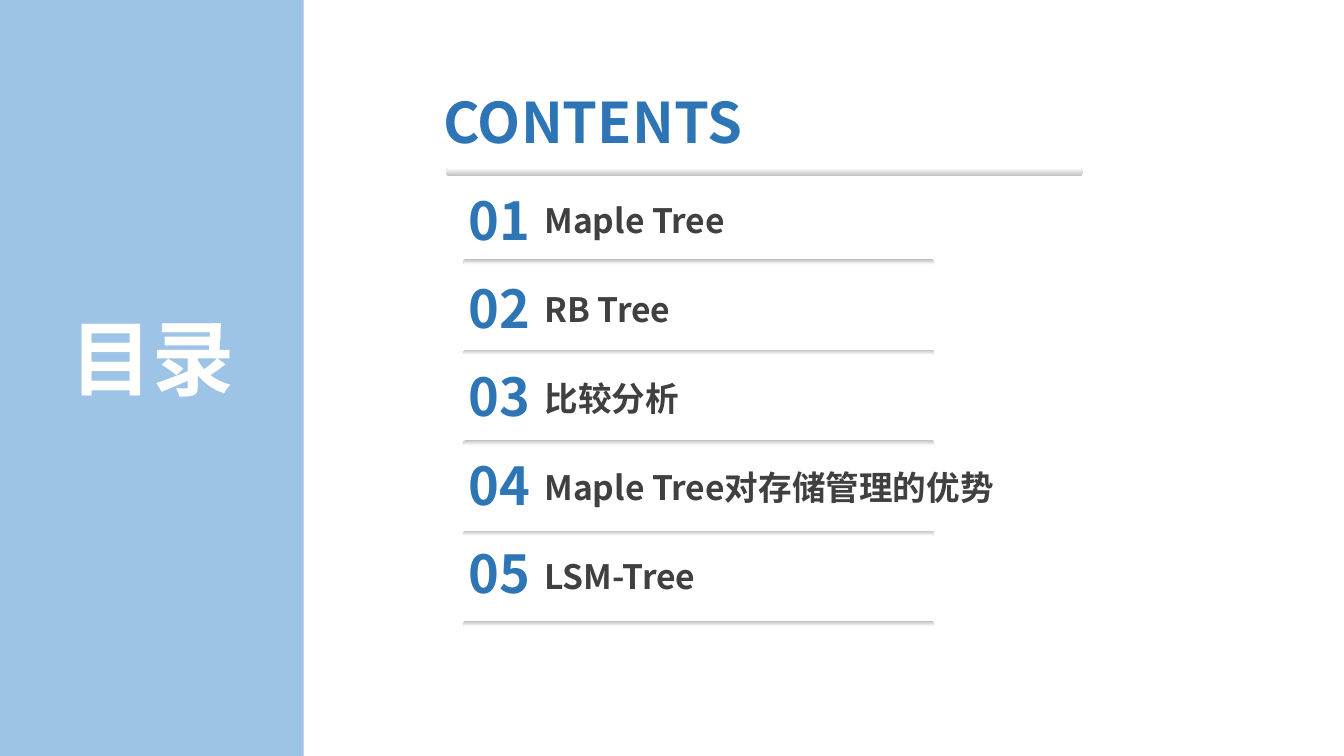
from dataclasses import dataclass

from lxml import etree
from pptx import Presentation
from pptx.dml.color import RGBColor
from pptx.enum import shapes, text
from pptx.oxml import ns
from pptx.util import Cm, Pt

FONT = "Noto Sans CJK SC"
PALE_BLUE = RGBColor(0x9D, 0xC3, 0xE6)
BLUE = RGBColor(0x2E, 0x75, 0xB6)
DARK = RGBColor(0x40, 0x40, 0x40)
SILVER = RGBColor(0xBF, 0xBF, 0xBF)
WHITE = RGBColor(0xFF, 0xFF, 0xFF)


@dataclass(frozen=True)
class Box:
    """A place on the slide, in centimetres."""
    left: float
    top: float
    width: float
    height: float

    def lengths(self) -> tuple:
        return Cm(self.left), Cm(self.top), Cm(self.width), Cm(self.height)


@dataclass(frozen=True)
class Column:
    """Equal boxes stacked at a fixed pitch, in centimetres."""
    left: float
    top: float
    height: float
    pitch: float

    def row(self, index: int, width: float) -> Box:
        return Box(self.left, self.top + index * self.pitch, width, self.height)


@dataclass(frozen=True)
class Topic:
    name: str
    width: float = 5.79


@dataclass(frozen=True)
class Style:
    size: int
    color: RGBColor
    align: text.PP_ALIGN = text.PP_ALIGN.LEFT


NUMBERS = Column(8.43, 3.45, 1.63, 1.67)
NAMES = Column(10.11, 3.68, 1.12, 1.68)
RULES = Column(8.76, 4.9, 0.1, 1.71)

SIDE_STYLE = Style(44, WHITE, text.PP_ALIGN.CENTER)
HEADING_STYLE = Style(30, BLUE)
NUMBER_STYLE = Style(28, BLUE, text.PP_ALIGN.CENTER)
NAME_STYLE = Style(18, DARK)

TOPICS = [
    Topic("Maple Tree"),
    Topic("RB Tree"),
    Topic("比较分析"),
    Topic("Maple Tree对存储管理的优势", 9.98),
    Topic("LSM-Tree"),
]


def write(shape, words: str, style: Style) -> None:
    frame = shape.text_frame
    frame.text = words
    frame.word_wrap = True
    frame.auto_size = text.MSO_AUTO_SIZE.NONE
    frame.vertical_anchor = text.MSO_ANCHOR.TOP
    frame.margin_left = frame.margin_right = Cm(0.18)
    frame.margin_top = frame.margin_bottom = Cm(0.1)
    paragraph = frame.paragraphs[0]
    paragraph.alignment = style.align
    paragraph.line_spacing = 1.0
    paragraph.space_before = Pt(0)
    font = paragraph.font
    font.name, font.size, font.bold = FONT, Pt(style.size), True
    font.color.rgb = style.color
    properties = paragraph._p.pPr.find(ns.qn("a:defRPr"))
    east_asian = etree.Element(ns.qn("a:ea"), typeface=FONT)
    properties.find(ns.qn("a:latin")).addnext(east_asian)


def add_text(slide, box: Box, words: str, style: Style) -> None:
    write(slide.shapes.add_textbox(*box.lengths()), words, style)


def add_plain_shape(slide, kind: shapes.MSO_SHAPE, box: Box):
    shape = slide.shapes.add_shape(kind, *box.lengths())
    shape.shadow.inherit = False
    shape.line.fill.background()
    return shape


def add_rule(slide, box: Box, flipped: bool = False) -> None:
    """Draw a thin rounded bar that fades from silver to white."""
    bar = add_plain_shape(slide, shapes.MSO_SHAPE.ROUNDED_RECTANGLE, box)
    bar.adjustments[0] = 0.5
    bar.fill.gradient()
    bar.fill.gradient_angle = 270
    for stop, position, color in zip(bar.fill.gradient_stops, (0, 1), (SILVER, WHITE)):
        stop.position = position
        stop.color.rgb = color
    if flipped:
        bar._element.spPr.find(ns.qn("a:xfrm")).set("flipV", "1")


def main() -> None:
    deck = Presentation()
    deck.slide_width, deck.slide_height = Cm(25.4), Cm(14.29)
    slide = deck.slides.add_slide(deck.slide_layouts.get_by_name("Title Only"))

    heading = slide.shapes.title
    heading.left, heading.top, heading.width, heading.height = Box(8.2, 1.55, 8.84, 1.47).lengths()
    write(heading, "CONTENTS", HEADING_STYLE)

    panel = add_plain_shape(slide, shapes.MSO_SHAPE.RECTANGLE, Box(0, 0, 5.74, 14.29))
    panel.fill.solid()
    panel.fill.fore_color.rgb = PALE_BLUE
    add_text(slide, Box(1.12, 5.72, 3.53, 2.08), "目录", SIDE_STYLE)

    add_rule(slide, Box(8.43, 3.18, 12.04, 0.15), flipped=True)
    for index, topic in enumerate(TOPICS):
        add_text(slide, NUMBERS.row(index, 2.03), f"{index + 1:02}", NUMBER_STYLE)
        add_text(slide, NAMES.row(index, topic.width), topic.name, NAME_STYLE)
        add_rule(slide, RULES.row(index, 8.89))

    deck.save("out.pptx")


if __name__ == "__main__":
    main()
